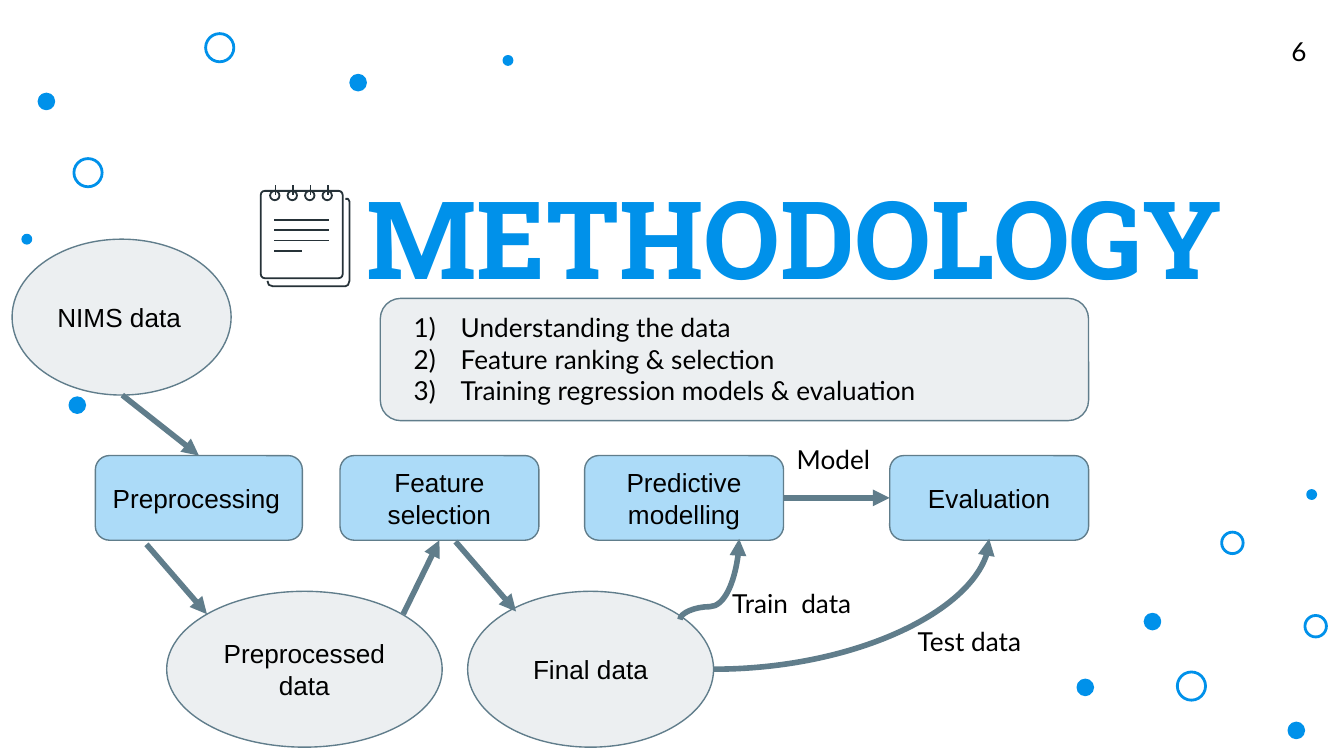
import pptx
import pptx.util
import pptx.dml.color
import pptx.enum.shapes
import pptx.enum.text
import pptx.oxml
import pptx.oxml.ns

Inches, Pt = pptx.util.Inches, pptx.util.Pt
RGB = pptx.dml.color.RGBColor
KIND = pptx.enum.shapes.MSO_SHAPE
LINK = pptx.enum.shapes.MSO_CONNECTOR
ALIGN = pptx.enum.text.PP_ALIGN
ANCHOR = pptx.enum.text.MSO_ANCHOR

BLUE = RGB(0x00, 0x91, 0xEA)
SKY = RGB(0xAC, 0xDB, 0xF8)
PALE = RGB(0xEC, 0xEF, 0xF1)
SLATE = RGB(0x60, 0x7D, 0x8B)
INK = RGB(0x26, 0x32, 0x38)
BLACK = RGB(0, 0, 0)
WHITE = RGB(255, 255, 255)

# A wide slide, 16 by 9
WIDE = Inches(10)
HIGH = WIDE * 9 // 16

LATO = {"name": "Lato", "size": Pt(14), "bold": False}
ARIAL = {"name": "Arial", "size": Pt(14), "bold": False}
SLAB = {"name": "Roboto Slab", "size": Pt(58), "bold": True}
FRAME = {"word_wrap": True, "margin_left": Inches(0.1), "margin_right": Inches(0.1),
         "margin_top": Inches(0.1), "margin_bottom": Inches(0.1)}

# Left, top and size of the background dots
DISCS = [(8.02, 5.06), (8.52, 4.57), (9.59, 5.38), (2.61, 0.56), (0.52, 2.96), (0.29, 0.7)]
SPECKS = [(9.73, 3.65), (0.17, 1.75), (3.75, 0.42)]
HOOPS = [(0.55, 1.18, 0.21), (9.09, 3.96, 0.16), (9.71, 4.58, 0.16),
         (1.53, 0.25, 0.21), (8.76, 5, 0.21)]
STEPS = ["Understanding the data", "Feature ranking & selection",
         "Training regression models & evaluation"]


def apply(item, values):
    for key, val in values.items():
        setattr(item, key, val)


def find(parent, tag):
    return parent.find(pptx.oxml.ns.qn(tag))


def add_xml(parent, tag, **attrs):
    node = pptx.oxml.parse_xml(f"<a:{tag} {pptx.oxml.ns.nsdecls('a')}/>")
    for key, val in attrs.items():
        node.set(key, val)
    parent.append(node)


def style(shape, fill, line, width):
    shape.shadow.inherit = False
    if fill is None:
        shape.fill.background()
    else:
        shape.fill.solid()
        shape.fill.fore_color.rgb = fill
    shape.line.color.rgb = line
    shape.line.width = Pt(width)


def add_form(shapes, kind, box, fill, line=SLATE, width=0.75):
    shape = shapes.add_shape(kind, *map(Inches, box))
    style(shape, fill, line, width)
    return shape


def write(shape, lines, font, align=ALIGN.LEFT, anchor=ANCHOR.TOP, color=BLACK):
    frame = shape.text_frame
    apply(frame, FRAME)
    frame.vertical_anchor = anchor
    frame.text = "\n".join(lines)
    for para in frame.paragraphs:
        para.alignment = align
        for run in para.runs:
            apply(run.font, font)
            run.font.color.rgb = color


def add_node(shapes, kind, box, text, fill, align=ALIGN.CENTER):
    shape = add_form(shapes, kind, box, fill)
    write(shape, [text], ARIAL, align, ANCHOR.MIDDLE)
    return shape


def add_text(shapes, box, lines, font=LATO, **kwargs):
    shape = shapes.add_textbox(*map(Inches, box))
    write(shape, lines, font, **kwargs)
    return shape


def add_line(shapes, ends, color=SLATE, width=3, kind=LINK.STRAIGHT):
    line = shapes.add_connector(kind, *map(Inches, ends))
    line.line.color.rgb = color
    line.line.width = Pt(width)
    add_xml(line._element.spPr, "effectLst")
    return line


def add_arrow(shapes, ends, kind=LINK.STRAIGHT):
    arrow = add_line(shapes, ends, kind=kind)
    add_xml(find(arrow._element.spPr, "a:ln"), "tailEnd", type="triangle")
    return arrow


def add_curve(shapes, ends, preset, turn=0, bend=None):
    props = add_arrow(shapes, ends, LINK.CURVE)._element.spPr
    geom = find(props, "a:prstGeom")
    geom.set("prst", preset)
    if turn:
        find(props, "a:xfrm").set("rot", str(turn * 60000))
    if bend is not None:
        add_xml(find(geom, "a:avLst"), "gd", name="adj1", fmla=f"val {round(bend * 100000)}")


def add_dots(shapes):
    for spots, size in ((DISCS, 0.11), (SPECKS, 0.06)):
        for left, top in spots:
            add_form(shapes, KIND.OVAL, (left, top, size, size), BLUE, BLUE, 1.5)
    for left, top, size in HOOPS:
        add_form(shapes, KIND.OVAL, (left, top, size, size), None, BLUE, 1.5)


def add_list(shapes):
    add_form(shapes, KIND.ROUNDED_RECTANGLE, (2.83, 2.22, 5.27, 0.91), PALE)
    box = add_text(shapes, (2.83, 2.22, 6.67, 0.91), STEPS)
    for para in box.text_frame.paragraphs:
        props = para._p.get_or_add_pPr()
        props.set("marL", str(Inches(0.5)))
        props.set("indent", str(Inches(-0.35)))
        add_xml(props, "buAutoNum", type="arabicParenR")


def add_pad(shapes):
    pad = shapes.add_group_shape().shapes
    # Back sheet, seen at the right and bottom edges
    edge = [(1.99, 2.09), (2, 2.12), (2.03, 2.13), (2.57, 2.13), (2.59, 2.12),
            (2.6, 2.09), (2.6, 1.5), (2.59, 1.48), (2.57, 1.48)]
    spots = [(Inches(left), Inches(top)) for left, top in edge]
    pen = pad.build_freeform(*spots[0])
    pen.add_line_segments(spots[1:], close=False)
    style(pen.convert_to_shape(), None, INK, 0.96)
    # Front sheet
    page = add_form(pad, KIND.ROUNDED_RECTANGLE, (1.94, 1.42, 0.61, 0.65), None, INK, 0.96)
    page.adjustments[0] = 0.05
    # Binding
    for col in range(4):
        mid = 2.05 + 0.13 * col
        add_form(pad, KIND.OVAL, (mid - 0.04, 1.42, 0.07, 0.07), None, INK, 0.96)
        add_line(pad, (mid, 1.38, mid, 1.45), INK, 0.96)
    # Written lines
    for top, end in ((1.64, 2.45), (1.71, 2.45), (1.79, 2.45), (1.87, 2.25)):
        add_line(pad, (2.04, top, end, top), INK, 0.96)


def add_flow(shapes):
    # Data sets
    add_node(shapes, KIND.OVAL, (1.24, 4.4, 2.05, 1.16), "Preprocessed data", PALE)
    add_node(shapes, KIND.OVAL, (3.48, 4.4, 1.83, 1.16), "Final data", PALE)
    # Stages
    stages = [(0.71, 1.54, "Preprocessing", ALIGN.LEFT),
              (2.53, 1.48, "Feature selection", ALIGN.CENTER),
              (4.35, 1.48, "Predictive modelling", ALIGN.CENTER),
              (6.62, 1.48, "Evaluation", ALIGN.CENTER)]
    prep, pick, model, test = [
        add_node(shapes, KIND.ROUNDED_RECTANGLE, (left, 3.39, wide, 0.63), text, SKY, align)
        for left, wide, text, align in stages]
    # Source data
    add_node(shapes, KIND.OVAL, (0.09, 1.78, 1.63, 1.16), "NIMS data", PALE, ALIGN.LEFT)
    # Arrows
    add_arrow(shapes, (0.91, 2.94, 1.48, 3.39)).end_connect(prep, 0)
    add_arrow(shapes, (1.09, 4.05, 1.54, 4.57))
    add_arrow(shapes, (3, 4.57, 3.27, 4.02)).end_connect(pick, 2)
    add_arrow(shapes, (3.39, 4.03, 3.84, 4.55))
    add_curve(shapes, (4.98, 4.09, 5.58, 4.53), "curvedConnector3", 270, 0.16)
    add_curve(shapes, (5.31, 4.98, 7.36, 4.01), "curvedConnector2")
    link = add_arrow(shapes, (5.83, 3.7, 6.62, 3.7))
    link.begin_connect(model, 3)
    link.end_connect(test, 1)
    # Arrow labels
    add_text(shapes, (6.73, 4.55, 1.33, 0.44), ["Test data"])
    add_text(shapes, (5.35, 4.27, 1.33, 0.44), ["Train  data"])
    add_text(shapes, (5.83, 3.2, 0.8, 0.44), ["Model"])


def main():
    deck = pptx.Presentation()
    apply(deck, {"slide_width": WIDE, "slide_height": HIGH})
    slide = deck.slides.add_slide(deck.slide_layouts[6])
    slide.background.fill.solid()
    slide.background.fill.fore_color.rgb = WHITE
    shapes = slide.shapes
    add_dots(shapes)
    # Title
    add_text(shapes, (2.49, 1.12, 6.84, 1.27), ["METHODOLOGY"], SLAB,
             align=ALIGN.CENTER, anchor=ANCHOR.MIDDLE, color=BLUE)
    add_list(shapes)
    add_pad(shapes)
    add_flow(shapes)
    # Page number
    add_text(shapes, (9.51, 0.16, 0.33, 0.44), ["6"])
    deck.save("out.pptx")


if __name__ == "__main__":
    main()
